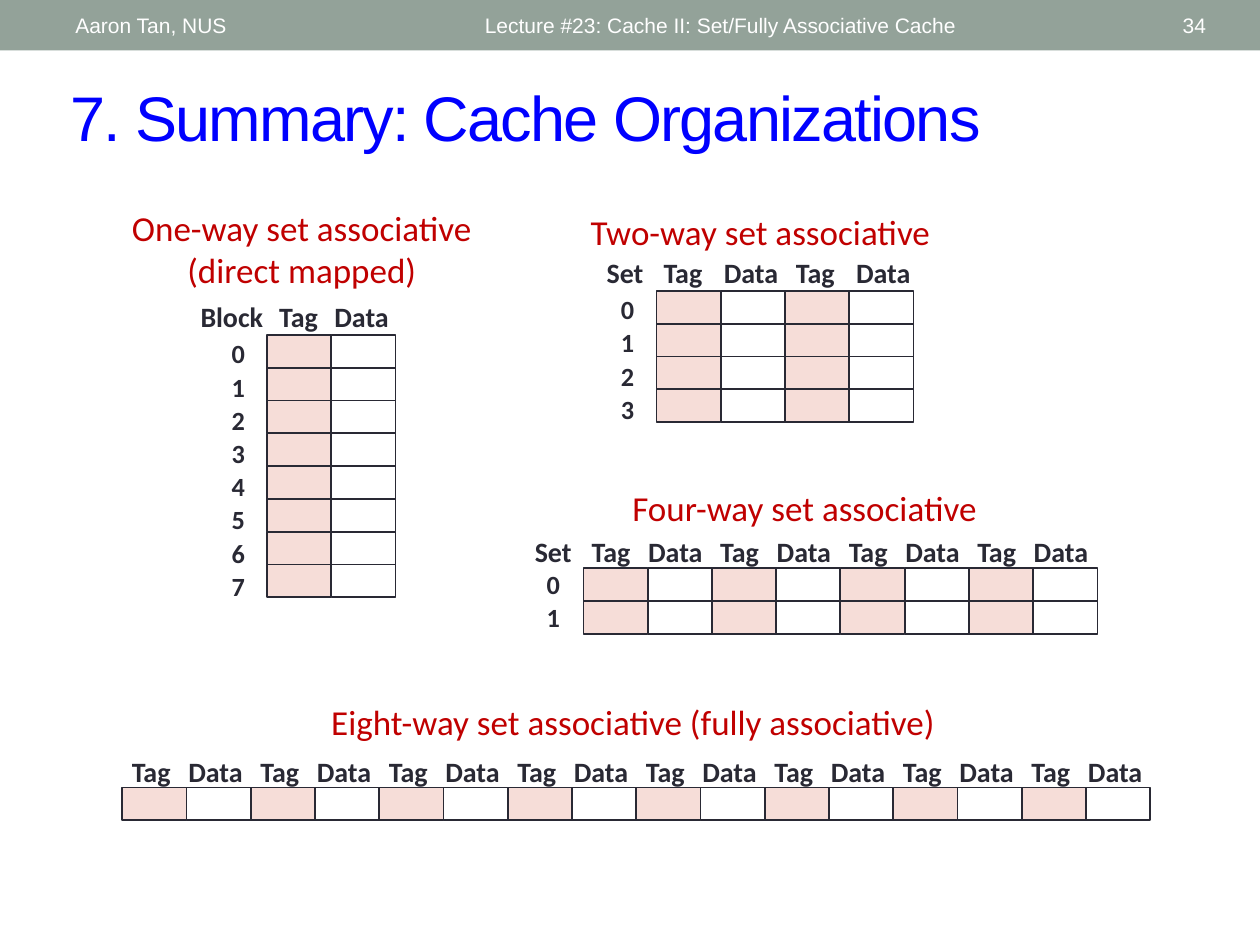
from dataclasses import dataclass

from pptx import Presentation
from pptx.dml.color import RGBColor
from pptx.enum.shapes import MSO_SHAPE
from pptx.enum.text import MSO_ANCHOR, PP_ALIGN
from pptx.util import Inches, Pt

RECTANGLE = MSO_SHAPE.RECTANGLE
TOP, MIDDLE = MSO_ANCHOR.TOP, MSO_ANCHOR.MIDDLE
LEFT, CENTER, RIGHT = PP_ALIGN.LEFT, PP_ALIGN.CENTER, PP_ALIGN.RIGHT

SLIDE_WIDTH, SLIDE_HEIGHT = 10, 7.5
COLUMN, ROW = 0.51, 0.26
LABEL_HEIGHT, NUMBER_WIDTH = 0.37, 0.35
TAG_WIDTH, DATA_WIDTH, INDEX_WIDTH = 0.57, 0.72, 0.72


@dataclass(frozen=True)
class TextStyle:
    font: str
    size: int
    color: str
    bold: bool = False
    tracking: int = 0


@dataclass(frozen=True)
class Theme:
    band: str = "93A299"
    tag_fill: str = "F6DDD8"
    border: str = "292934"
    title: TextStyle = TextStyle("Arial", 36, "0000FF", tracking=-100)
    header: TextStyle = TextStyle("Arial", 12, "FFFFFF")
    heading: TextStyle = TextStyle("Calibri", 20, "C00000")
    label: TextStyle = TextStyle("Calibri", 16, "292934", bold=True)
    number: TextStyle = TextStyle("Calibri", 15, "292934", bold=True)


@dataclass(frozen=True)
class Organization:
    heading: tuple
    heading_box: tuple
    left: float
    top: float
    ways: int
    sets: int
    label_top: float
    tag_center: float
    data_center: float
    label_pitch: float = 2 * COLUMN
    index: str = ""
    index_center: float = 0
    number_center: float = 0
    number_top: float = 0


THEME = Theme()

ORGANIZATIONS = (
    Organization(
        ("One-way set associative", "(direct mapped)"), (0.92, 1.59, 2.95, 0.77),
        2.12, 2.66, 1, 8, 2.33, 2.37, 2.87,
        index="Block", index_center=1.84, number_center=1.89, number_top=2.63),
    Organization(
        ("Two-way set associative",), (4.56, 1.62, 2.95, 0.44),
        5.21, 2.31, 2, 4, 1.98, 5.42, 5.96, 1.05,
        index="Set", index_center=4.96, number_center=4.98, number_top=2.28),
    Organization(
        ("Four-way set associative",), (4.85, 3.81, 3.07, 0.44),
        4.63, 4.51, 4, 2, 4.19, 4.85, 5.36,
        index="Set", index_center=4.39, number_center=4.39, number_top=4.46),
    Organization(
        ("Eight-way set associative (fully associative)",), (2.44, 5.51, 5.17, 0.44),
        0.97, 6.25, 8, 1, 5.94, 1.2, 1.71),
)


def add_text(slide, lines, box, style, align=CENTER, anchor=TOP, space_after=0):
    frame = slide.shapes.add_textbox(*map(Inches, box)).text_frame
    frame.word_wrap = True
    frame.vertical_anchor = anchor
    for position, line in enumerate(lines):
        paragraph = frame.add_paragraph() if position else frame.paragraphs[0]
        paragraph.alignment = align
        paragraph.space_after = Pt(space_after)
        run = paragraph.add_run()
        run.text = line
        run.font.name = style.font
        run.font.size = Pt(style.size)
        run.font.bold = style.bold
        run.font.color.rgb = RGBColor.from_string(style.color)
        if style.tracking:
            run._r.get_or_add_rPr().set("spc", str(style.tracking))


def add_rectangle(slide, box, fill=None, border=None):
    rectangle = slide.shapes.add_shape(RECTANGLE, *map(Inches, box))
    rectangle.shadow.inherit = False
    if fill:
        rectangle.fill.solid()
        rectangle.fill.fore_color.rgb = RGBColor.from_string(fill)
    else:
        rectangle.fill.background()
    if border:
        rectangle.line.color.rgb = RGBColor.from_string(border)
        rectangle.line.width = Pt(1)
    else:
        rectangle.line.fill.background()


def add_label(slide, word, center, top, width):
    box = (center - width / 2, top, width, LABEL_HEIGHT)
    add_text(slide, (word,), box, THEME.label)


def add_cells(slide, organization):
    for row in range(organization.sets):
        for column in range(2 * organization.ways):
            box = (organization.left + column * COLUMN,
                   organization.top + row * ROW, COLUMN, ROW)
            fill = None if column % 2 else THEME.tag_fill
            add_rectangle(slide, box, fill, THEME.border)


def add_labels(slide, organization):
    top = organization.label_top
    for way in range(organization.ways):
        shift = way * organization.label_pitch
        add_label(slide, "Tag", organization.tag_center + shift, top, TAG_WIDTH)
        add_label(slide, "Data", organization.data_center + shift, top, DATA_WIDTH)


def add_index(slide, organization):
    add_label(slide, organization.index, organization.index_center,
              organization.label_top, INDEX_WIDTH)
    box = (organization.number_center - NUMBER_WIDTH / 2, organization.number_top,
           NUMBER_WIDTH, organization.sets * ROW + 0.1)
    numbers = [str(number) for number in range(organization.sets)]
    add_text(slide, numbers, box, THEME.number, space_after=1)


def add_organization(slide, organization):
    add_text(slide, organization.heading, organization.heading_box, THEME.heading)
    add_cells(slide, organization)
    add_labels(slide, organization)
    if organization.index:
        add_index(slide, organization)


def add_header(slide):
    add_rectangle(slide, (0, 0, SLIDE_WIDTH, 0.4), THEME.band)
    for text, left, width, align in (
        ("Lecture #23: Cache II: Set/Fully Associative Cache", 3.75, 4.5, LEFT),
        ("Aaron Tan, NUS", 0.5, 3.17, LEFT),
        ("34", 8.72, 0.95, RIGHT),
    ):
        add_text(slide, (text,), (left, 0.02, width, 0.36), THEME.header, align, MIDDLE)


def main():
    presentation = Presentation()
    presentation.slide_width = Inches(SLIDE_WIDTH)
    presentation.slide_height = Inches(SLIDE_HEIGHT)
    slide = presentation.slides.add_slide(presentation.slide_layouts[6])
    add_header(slide)
    add_text(slide, ("7. Summary: Cache Organizations",), (0.46, 0.57, 9.21, 0.7),
             THEME.title, LEFT, MIDDLE)
    for organization in ORGANIZATIONS:
        add_organization(slide, organization)
    presentation.save("out.pptx")


if __name__ == "__main__":
    main()
